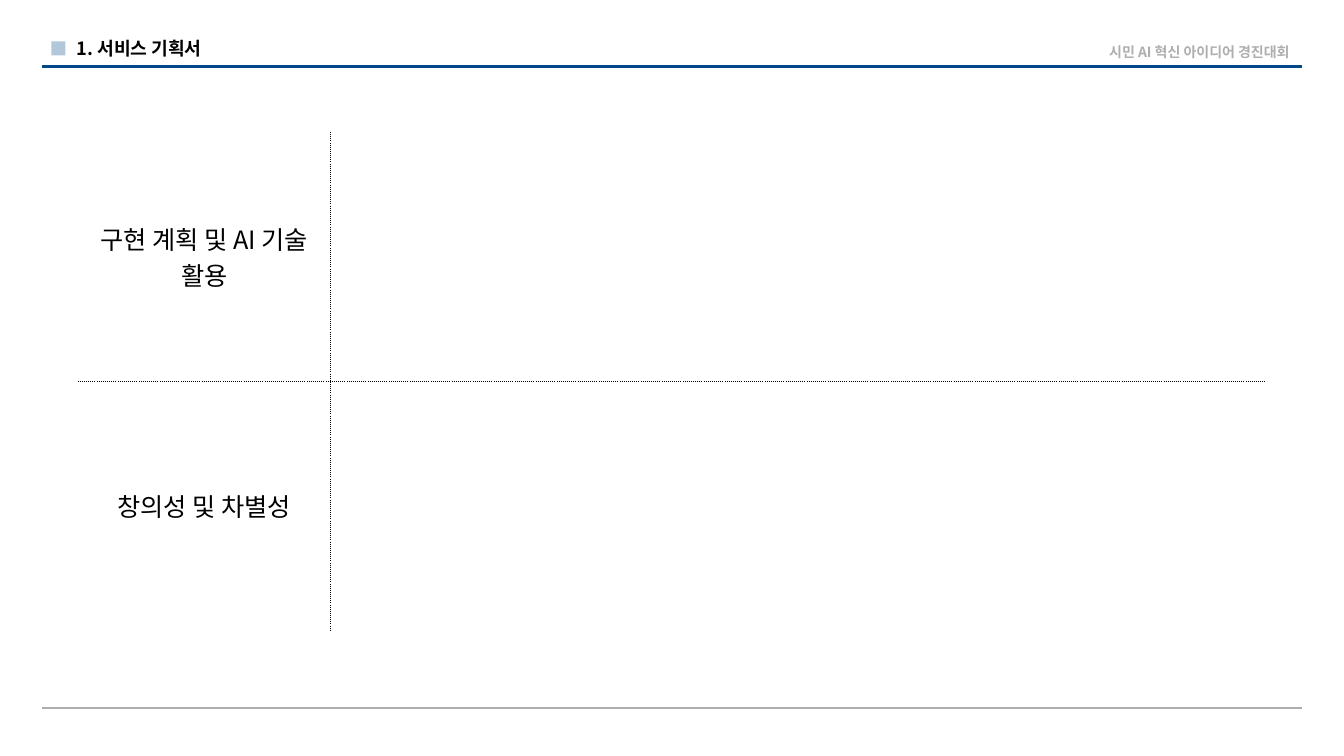
from dataclasses import dataclass

from lxml.etree import SubElement
from pptx import Presentation
from pptx.dml.color import RGBColor
from pptx.enum.text import MSO_ANCHOR, MSO_AUTO_SIZE, PP_ALIGN
from pptx.enum.shapes import MSO_CONNECTOR, MSO_SHAPE
from pptx.oxml import parse_xml
from pptx.oxml.ns import nsdecls, qn
from pptx.util import Inches, Pt


@dataclass(frozen=True)
class Theme:
    font: str = "Noto Sans CJK KR"
    navy: str = "004889"
    marker: str = "004687"
    gray: str = "AEAEAE"
    black: str = "000000"
    title_size: int = 13
    event_size: int = 10
    cell_size: int = 18
    rule_width: float = 1.5
    border_width: float = 0.75


@dataclass(frozen=True)
class Rule:
    y: float
    color: str


@dataclass(frozen=True)
class Label:
    text: str
    size: int
    color: str
    bold: bool
    align: PP_ALIGN
    spacing: float = 1.0


THEME = Theme()
RULE_LEFT, RULE_RIGHT = 0.42, 12.91
RULES = [Rule(0.66, THEME.navy), Rule(7.02, THEME.gray)]
TITLE = Label("1. 서비스 기획서", THEME.title_size, THEME.black, True, PP_ALIGN.LEFT)
EVENT = Label("시민 AI 혁신 아이디어 경진대회", THEME.event_size, THEME.gray, True, PP_ALIGN.CENTER, 0.9)
TOPICS = [
    Label(text, THEME.cell_size, THEME.black, False, PP_ALIGN.CENTER)
    for text in ("구현 계획 및 AI 기술 활용", "창의성 및 차별성")
]
COL_WIDTHS = (2.51, 9.28)
ROW_HEIGHT = 2.47


def write_label(tf, label: Label) -> None:
    p = tf.paragraphs[0]
    p.alignment, p.line_spacing = label.align, label.spacing
    r = p.add_run()
    r.text = label.text
    for name, value in {"size": Pt(label.size), "bold": label.bold, "name": THEME.font}.items():
        setattr(r.font, name, value)
    r.font.color.rgb = RGBColor.from_string(label.color)
    SubElement(r.font._element, qn("a:ea"), typeface=THEME.font)


def place_text(sp, box: tuple[float, ...], inset_y: float, label: Label) -> None:
    sp.left, sp.top, sp.width, sp.height = map(Inches, box)
    tf = sp.text_frame
    frame = {
        "word_wrap": True,
        "auto_size": MSO_AUTO_SIZE.NONE,
        "vertical_anchor": MSO_ANCHOR.BOTTOM,
        "margin_left": Inches(0.1),
        "margin_right": Inches(0.1),
        "margin_top": Inches(inset_y),
        "margin_bottom": Inches(inset_y),
    }
    for name, value in frame.items():
        setattr(tf, name, value)
    write_label(tf, label)


def add_rule(s, rule: Rule) -> None:
    y = Inches(rule.y)
    line = s.shapes.add_connector(MSO_CONNECTOR.STRAIGHT, Inches(RULE_LEFT), y, Inches(RULE_RIGHT), y)
    line.line.color.rgb = RGBColor.from_string(rule.color)
    line.line.width = Pt(THEME.rule_width)
    SubElement(line._element.spPr, qn("a:effectLst"))


def add_marker(s) -> None:
    sp = s.shapes.add_shape(MSO_SHAPE.RECTANGLE, *map(Inches, (0.51, 0.41, 0.14, 0.14)))
    sp.shadow.inherit = False
    sp.line.fill.background()
    sp.fill.solid()
    sp.fill.fore_color.rgb = RGBColor.from_string(THEME.marker)
    color = sp._element.spPr.find(qn("a:solidFill"))[0]
    SubElement(color, qn("a:alpha"), val="30000")


def set_borders(cell, dotted: set[str]) -> None:
    """Dot the named sides (L, R, T, B) and clear the others."""
    tcPr = cell._tc.get_or_add_tcPr()
    for i, side in enumerate("LRTB"):
        paint = "<a:noFill/>"
        if side in dotted:
            paint = f'<a:solidFill><a:srgbClr val="{THEME.black}"/></a:solidFill><a:prstDash val="sysDot"/>'
        xml = f'<a:ln{side} {nsdecls("a")} w="{Pt(THEME.border_width)}">{paint}</a:ln{side}>'
        tcPr.insert(i, parse_xml(xml))


def add_topic_table(s) -> None:
    size = sum(COL_WIDTHS), ROW_HEIGHT * len(TOPICS)
    frame = s.shapes.add_table(len(TOPICS), len(COL_WIDTHS), *map(Inches, (0.77, 1.31, *size)))
    table = frame.table
    table.first_row = table.horz_banding = False
    for column, width in zip(table.columns, COL_WIDTHS):
        column.width = Inches(width)
    for i, topic in enumerate(TOPICS):
        table.rows[i].height = Inches(ROW_HEIGHT)
        for j in range(len(COL_WIDTHS)):
            cell = table.cell(i, j)
            cell.fill.background()
            cell.vertical_anchor = MSO_ANCHOR.MIDDLE
            set_borders(cell, {"RL"[j], "BT"[i]})
        write_label(table.cell(i, 0).text_frame, topic)


def main() -> None:
    prs = Presentation()
    prs.slide_width, prs.slide_height = Inches(13.33), Inches(7.5)
    s = prs.slides.add_slide(prs.slide_layouts[5])
    for rule in RULES:
        add_rule(s, rule)
    add_marker(s)
    add_topic_table(s)
    event_box = (10.66, 0.25, 2.47, 0.4)
    place_text(s.shapes.add_textbox(*map(Inches, event_box)), event_box, 0.05, EVENT)
    place_text(s.shapes.title, (0.66, 0.27, 5.94, 0.42), 0.1, TITLE)
    prs.save("out.pptx")


if __name__ == "__main__":
    main()
